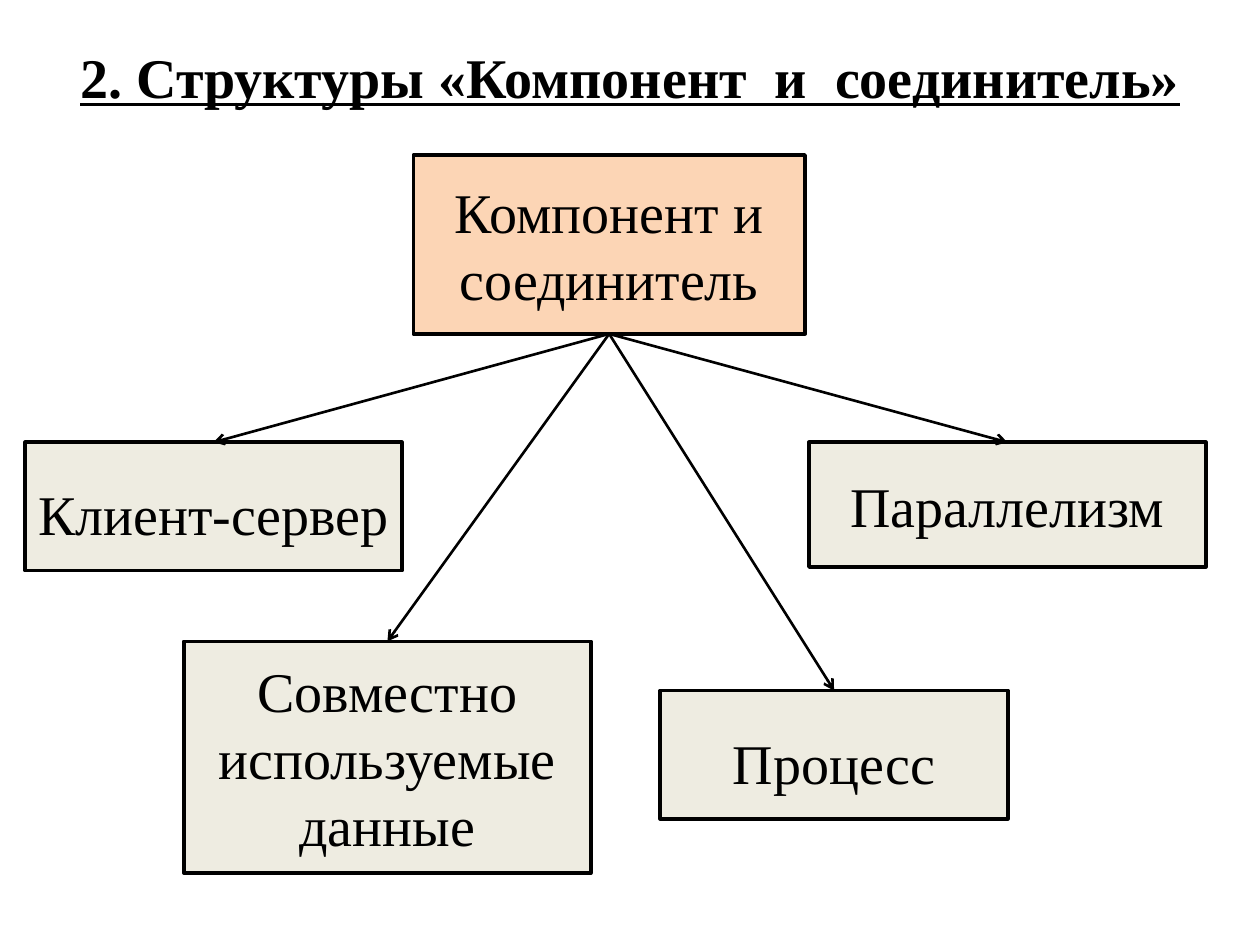
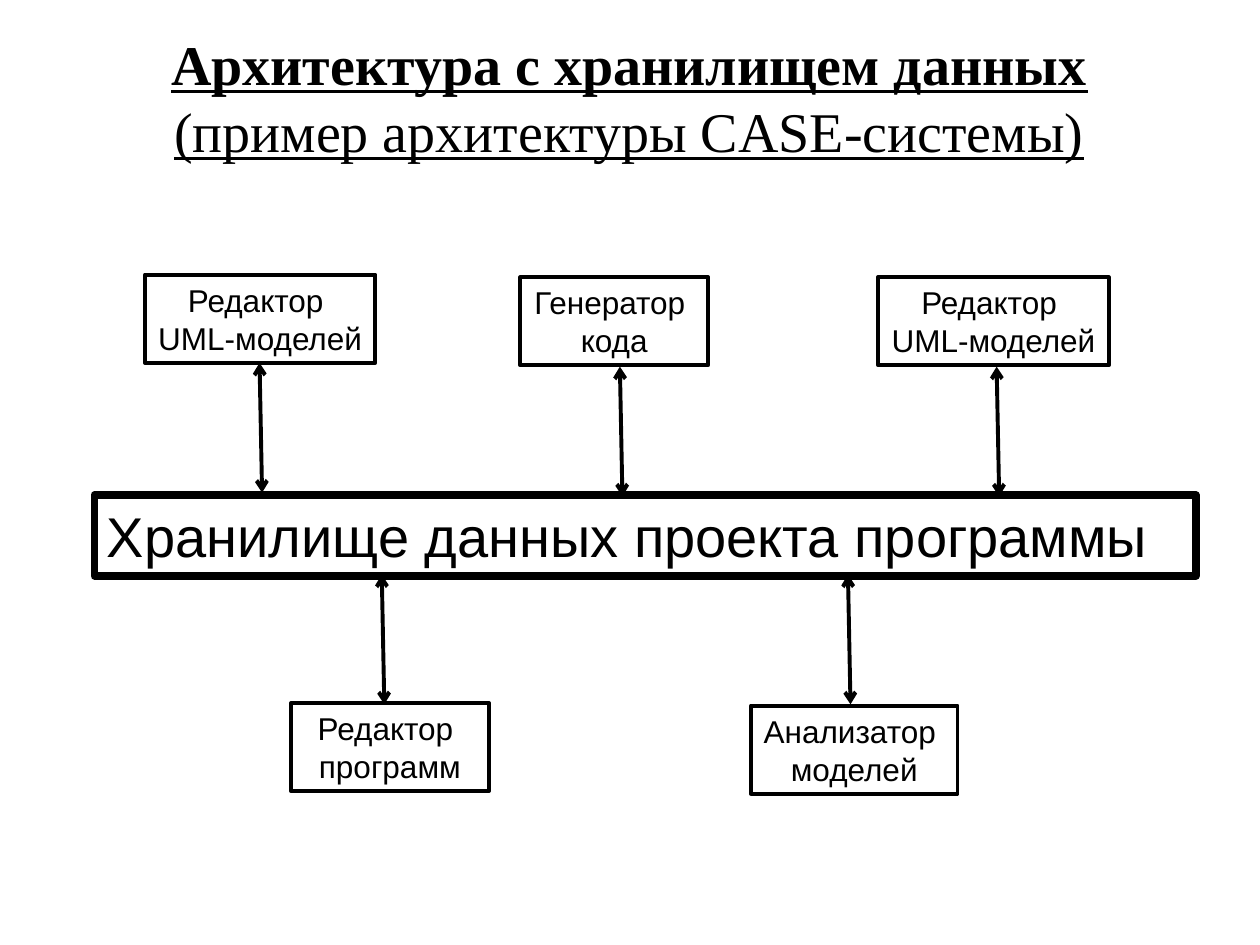
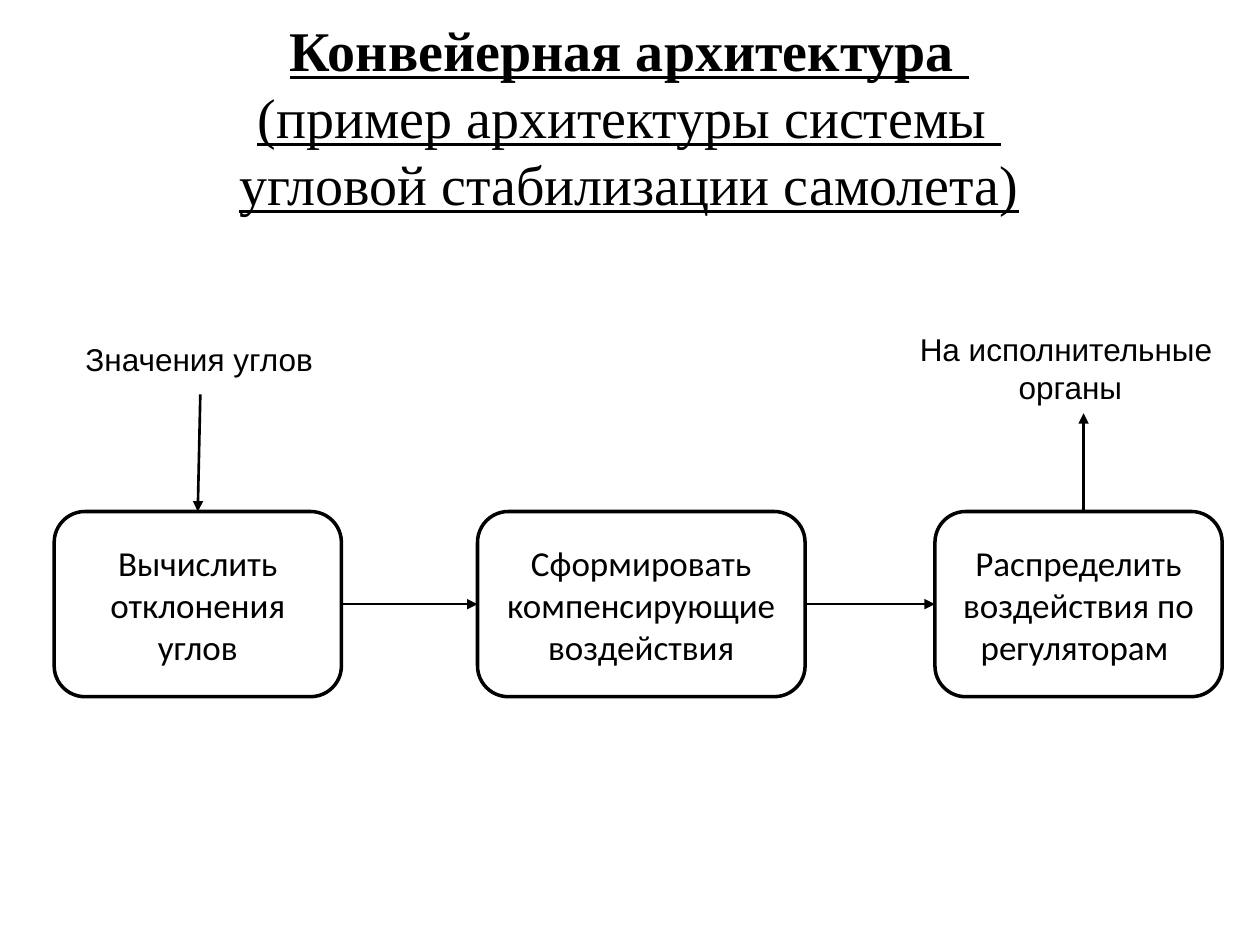
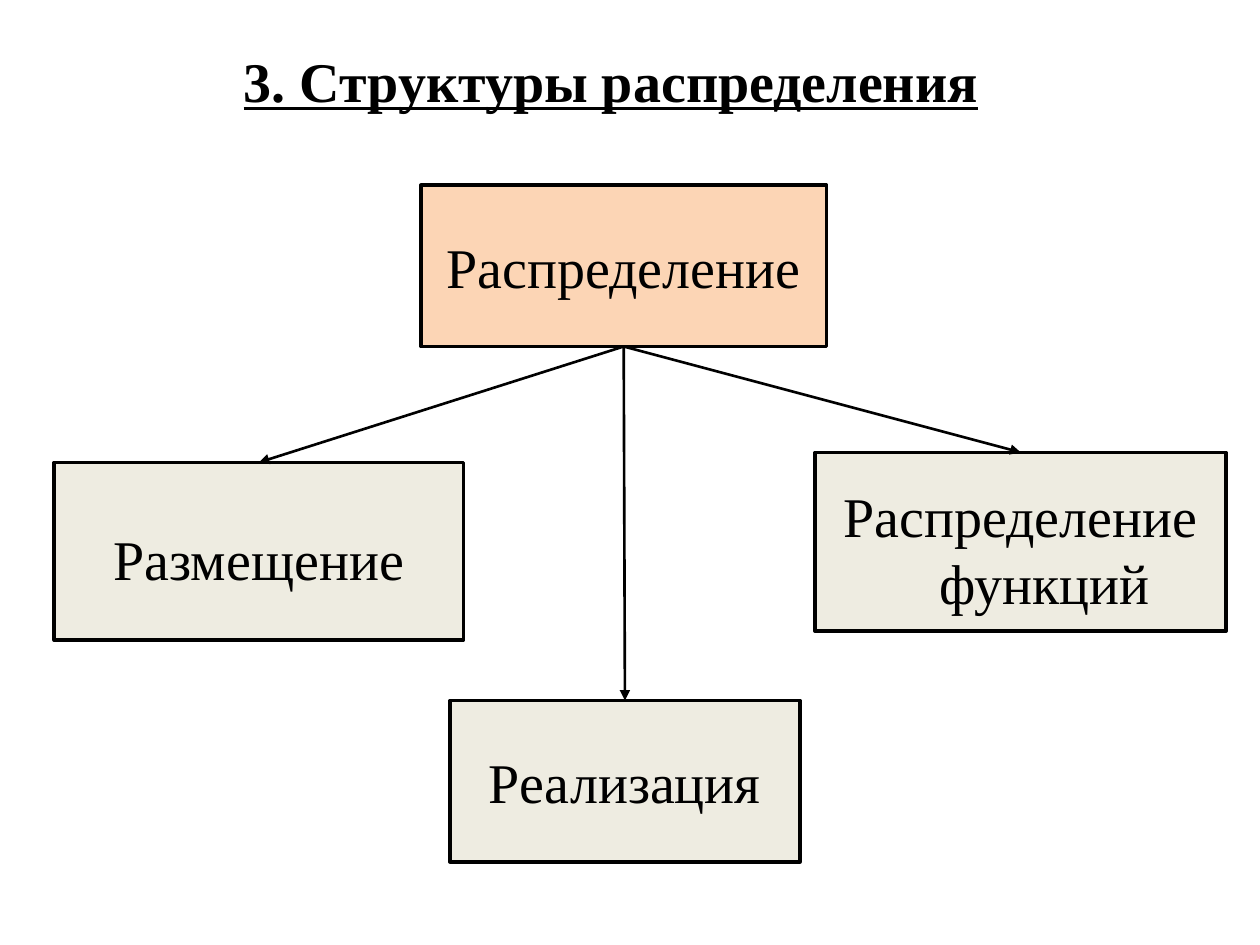
import dataclasses

import lxml.etree
import pptx
import pptx.dml.color
import pptx.enum.shapes
import pptx.enum.text
import pptx.oxml.ns
import pptx.util

Inches = pptx.util.Inches
Pt = pptx.util.Pt
Shape = pptx.enum.shapes.MSO_SHAPE
Align = pptx.enum.text.PP_ALIGN
Anchor = pptx.enum.text.MSO_ANCHOR
qn = pptx.oxml.ns.qn


@dataclasses.dataclass(frozen=True)
class Theme:
    ink: str = "000000"
    white: str = "FFFFFF"
    root: str = "FCD5B5"
    leaf: str = "EEECE1"
    serif: str = "Times New Roman"
    sans: str = "Arial"
    body: str = "Calibri"
    large: int = 32
    medium: int = 20
    small: int = 18
    thin: float = 1.5
    outline: float = 2
    medium_line: float = 2.25
    thick: float = 4.5


theme = Theme()


def add_box(page, text, place, font=theme.serif, size=theme.large, fill=None, line=None,
            kind=Shape.RECTANGLE, align=Align.CENTER, anchor=Anchor.MIDDLE, wrap=True):
    """Add a text box, or a shape when a fill or line is given."""
    frame = [Inches(value) for value in place]
    if fill or line:
        box = page.shapes.add_shape(kind, *frame)
        box.shadow.inherit = False
        box.fill.background()
        if fill:
            box.fill.solid()
            box.fill.fore_color.rgb = pptx.dml.color.RGBColor.from_string(fill)
        box.line.color.rgb = pptx.dml.color.RGBColor.from_string(theme.ink)
        box.line.width = Pt(line)
    else:
        box = page.shapes.add_textbox(*frame)
    text_frame = box.text_frame
    text_frame.word_wrap = wrap
    text_frame.vertical_anchor = anchor
    text_frame.text = text
    for para in text_frame.paragraphs:
        para.alignment = align
        for span in para.runs:
            span.font.name = font
            span.font.size = Pt(size)
            span.font.color.rgb = pptx.dml.color.RGBColor.from_string(theme.ink)
    return box


def add_arrow(page, start, end, ends, width=theme.thin):
    """Add a straight connector; ends maps headEnd and tailEnd to arrow types."""
    points = [Inches(value) for value in (*start, *end)]
    arrow = page.shapes.add_connector(pptx.enum.shapes.MSO_CONNECTOR.STRAIGHT, *points)
    arrow.line.color.rgb = pptx.dml.color.RGBColor.from_string(theme.ink)
    arrow.line.width = Pt(width)
    outline = arrow.line._get_or_add_ln()
    for tag, arrow_type in ends.items():
        lxml.etree.SubElement(outline, qn("a:" + tag)).set("type", arrow_type)
    lxml.etree.SubElement(arrow._element.spPr, qn("a:effectLst"))
    return arrow


deck = pptx.Presentation()
deck.slide_width = Inches(10)
deck.slide_height = Inches(7.5)

# Titles: the first line is bold, every line is underlined
titles = [
    ("2. Структуры «Компонент  и  соединитель»", (0.5, 0.3, 9, 0.61)),
    ("Архитектура с хранилищем данных\v(пример архитектуры CASE-системы)", (0.27, 0.3, 9.45, 0.93)),
    ("Конвейерная архитектура \v(пример архитектуры системы \vугловой стабилизации самолета)",
     (0.27, 0.21, 9.45, 1.42)),
    ("3. Структуры распределения", (0.2, 0.28, 9.3, 0.71)),
]
pages = []
for text, place in titles:
    page = deck.slides.add_slide(deck.slide_layouts[6])
    title = add_box(page, text, place)
    title.text_frame.margin_left = title.text_frame.margin_right = 0
    for index, span in enumerate(title.text_frame.paragraphs[0].runs):
        span.font.bold = index == 0
        span.font.underline = True
    pages.append(page)
component_page, storage_page, pipeline_page, allocation_page = pages

# Trees on the first and last pages: root, then leaves (text, place, hanging indent)
trees = [
    (component_page, "arrow", ("Компонент и\nсоединитель", (3.28, 1.23, 3.11, 1.42)), [
        ("Клиент-сервер", (0.2, 3.51, 2.99, 1.02), True),
        ("Процесс", (5.24, 5.48, 2.76, 1.02), True),
        ("Совместно используемые данные", (1.46, 5.09, 3.23, 1.84), False),
        ("Параллелизм", (6.42, 3.51, 3.15, 0.99), False),
    ]),
    (allocation_page, "triangle", ("Распределение", (3.34, 1.47, 3.22, 1.28)), [
        ("Размещение", (0.43, 3.67, 3.25, 1.41), True),
        ("Распределение функций", (6.47, 3.59, 3.26, 1.42), True),
        ("Реализация", (3.57, 5.56, 2.78, 1.28), False),
    ]),
]
top_site, left_site, bottom_site, right_site = range(4)
for page, arrow_type, (root_text, root_place), leaves in trees:
    root = add_box(page, root_text, root_place, fill=theme.root, line=theme.outline)
    for text, place, hanging in leaves:
        leaf = add_box(page, text, place, fill=theme.leaf, line=theme.outline)
        if hanging:
            leaf.text_frame.margin_top = Inches(0.16)
            properties = leaf.text_frame.paragraphs[0]._p.get_or_add_pPr()
            properties.set("marL", str(Inches(0.38)))
            properties.set("indent", str(Inches(-0.38)))
        arrow = add_arrow(page, (0, 0), (1, 1), {"tailEnd": arrow_type})
        arrow.begin_connect(root, bottom_site)
        arrow.end_connect(leaf, top_site)

# Data storage with the tools around it
add_box(storage_page, "Хранилище данных проекта программы", (0.75, 3.93, 8.74, 0.64),
        font=theme.sans, line=theme.thick, align=Align.LEFT, anchor=Anchor.TOP)
tools = [
    ("Редактор \nUML-моделей", 1.15, 2.18, 1.83),
    ("Генератор \nкода", 4.13, 2.2, 1.49),
    ("Редактор \nUML-моделей", 6.97, 2.2, 1.83),
    ("Редактор \nпрограмм", 2.31, 5.58, 1.57),
    ("Анализатор \nмоделей", 5.96, 5.6, 1.64),
]
for text, left, top, width in tools:
    add_box(storage_page, text, (left, top, width, 0.7), font=theme.sans, size=theme.small,
            line=theme.medium_line, anchor=Anchor.TOP, wrap=False)
for left, top in [(2.06, 2.88), (4.92, 2.91), (7.91, 2.91), (3.03, 4.56), (6.73, 4.56)]:
    add_arrow(storage_page, (left, top), (left + 0.02, top + 1.03),
              {"headEnd": "arrow", "tailEnd": "arrow"}, theme.medium_line)

# Pipeline steps, each joined to the one before
steps = [
    ("Вычислить отклонения углов", 0.43, 2.28),
    ("Сформировать компенсирующие воздействия", 3.79, 2.6),
    ("Распределить воздействия по\nрегуляторам ", 7.42, 2.28),
]
previous = None
for text, left, width in steps:
    step = add_box(pipeline_page, text, (left, 4.06, width, 1.47), font=theme.body,
                   size=theme.medium, fill=theme.white, line=theme.outline,
                   kind=Shape.ROUNDED_RECTANGLE)
    if previous:
        arrow = add_arrow(pipeline_page, (0, 0), (1, 1), {"tailEnd": "triangle"})
        arrow.begin_connect(previous, right_site)
        arrow.end_connect(step, left_site)
    previous = step

# Pipeline input and output
for start, end in [((1.59, 3.13), (1.57, 4.06)), ((8.6, 4.06), (8.6, 3.28))]:
    add_arrow(pipeline_page, start, end, {"tailEnd": "triangle"})
for text, place, align in [
    ("Значения углов", (0.58, 2.65, 2.01, 0.4), Align.LEFT),
    ("На исполнительные \nорганы", (7.19, 2.57, 2.61, 0.7), Align.CENTER),
]:
    add_box(pipeline_page, text, place, font=theme.sans, size=theme.small,
            align=align, anchor=Anchor.TOP, wrap=False)

deck.save("out.pptx")
